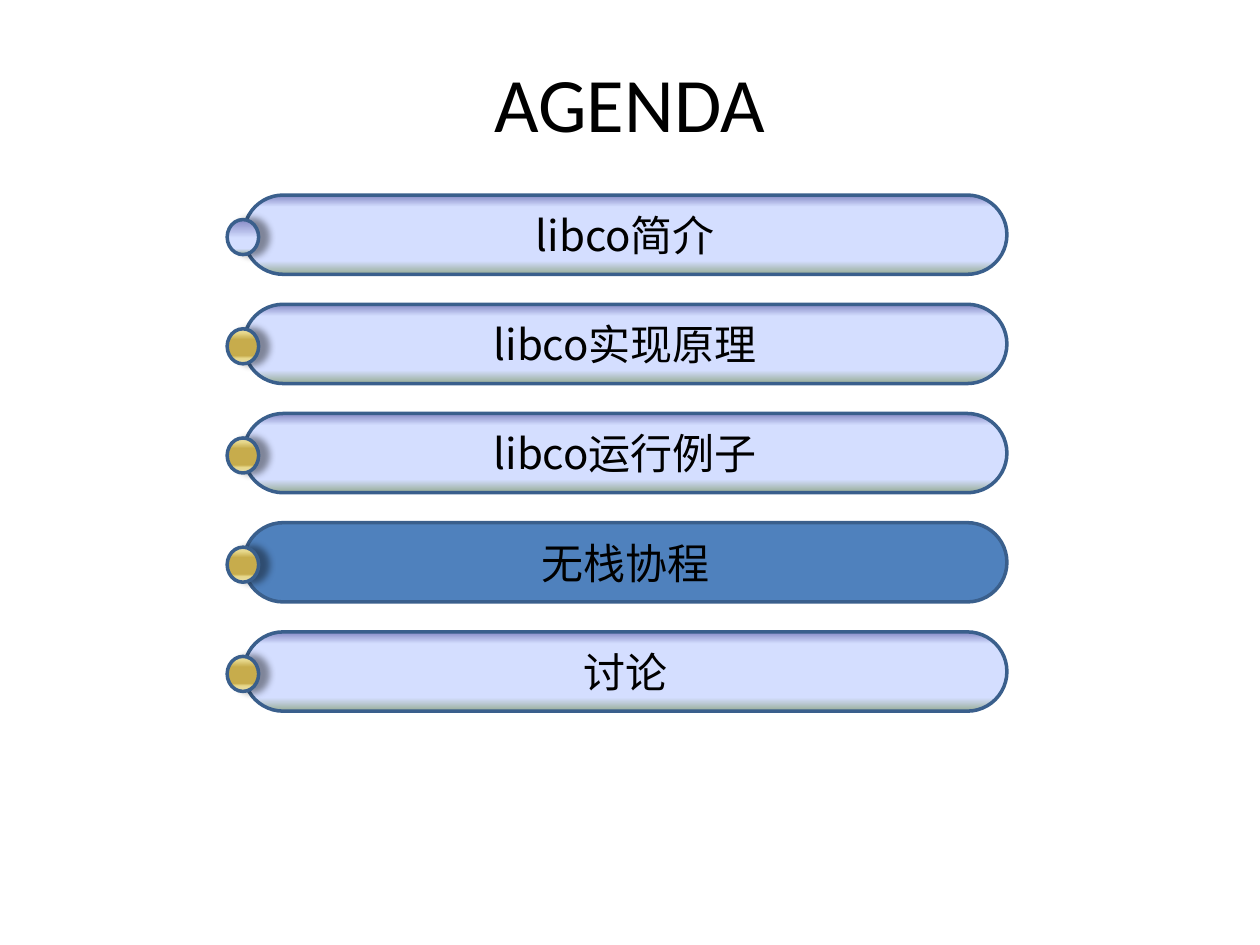
from dataclasses import dataclass

from lxml import etree
from pptx import Presentation
from pptx.dml.color import RGBColor
from pptx.enum.shapes import MSO_SHAPE
from pptx.enum.text import MSO_ANCHOR, PP_ALIGN
from pptx.oxml.ns import qn
from pptx.util import Pt

PILL = MSO_SHAPE.ROUNDED_RECTANGLE
DOT = MSO_SHAPE.FLOWCHART_CONNECTOR
CENTER = PP_ALIGN.CENTER
MIDDLE = MSO_ANCHOR.MIDDLE
TITLE_ONLY = 5


@dataclass(frozen=True)
class Theme:
    text: str = "000000"
    shadow: str = "000000"
    outline: str = "3A5F8C"
    current: str = "4F81BD"
    mist: tuple = ((0, "8488C4"), (15, "D4DEFF"), (83, "D4DEFF"), (100, "96AB94"))
    mist_dot: tuple = ((0, "8488C4"), (53, "D4DEFF"), (83, "D4DEFF"), (100, "96AB94"))
    gold: tuple = ((0, "E6DCAC"), (12, "E6D78A"), (30, "C7AC4C"),
                   (77, "C7AC4C"), (84, "E6D78A"), (100, "E6DCAC"))
    title_font: str = "Calibri"
    item_font: str = "Noto Sans CJK SC"
    title_size: int = 44
    item_size: int = 24
    line_width: int = 2


def add_color(parent, color):
    return etree.SubElement(parent, qn("a:srgbClr"), val=color)


class AgendaPage:
    def __init__(self, deck, theme):
        self.theme = theme
        self.slide = deck.slides.add_slide(deck.slide_layouts[TITLE_ONLY])

    def set_text(self, shape, text, font_name, size):
        frame = shape.text_frame
        frame.word_wrap = True
        frame.vertical_anchor = MIDDLE
        para = frame.paragraphs[0]
        span = para.add_run()
        span.text = text
        para.alignment = CENTER
        para.font.name = font_name
        para.font.size = Pt(size)
        para.font.color.rgb = RGBColor.from_string(self.theme.text)
        # East Asian characters take their own typeface
        etree.SubElement(span._r.get_or_add_rPr(), qn("a:ea"), typeface=font_name)

    def title(self, text, left, top, width, height):
        box = self.slide.shapes.title
        box.left, box.top, box.width, box.height = map(Pt, (left, top, width, height))
        self.set_text(box, text, self.theme.title_font, self.theme.title_size)

    def shape(self, kind, fill, left, top, width, height):
        shape = self.slide.shapes.add_shape(kind, *map(Pt, (left, top, width, height)))
        shape.shadow.inherit = False
        shape.line.color.rgb = RGBColor.from_string(self.theme.outline)
        shape.line.width = Pt(self.theme.line_width)
        if isinstance(fill, str):
            shape.fill.solid()
            shape.fill.fore_color.rgb = RGBColor.from_string(fill)
        else:
            self.gradient(shape, fill)
        return shape

    def gradient(self, shape, stops):
        shape.fill.gradient()
        shape.fill.gradient_angle = 270
        stop_list = shape._element.spPr.find(".//" + qn("a:gsLst"))
        for stop in list(stop_list):
            stop_list.remove(stop)
        for position, color in stops:
            add_color(etree.SubElement(stop_list, qn("a:gs"), pos=str(position * 1000)), color)

    def pill(self, text, fill, left, top, width, height):
        pill = self.shape(PILL, fill, left, top, width, height)
        pill.adjustments[0] = 0.5
        self.set_text(pill, text, self.theme.item_font, self.theme.item_size)

    def dot(self, fill, left, top, width, height):
        dot = self.shape(DOT, fill, left, top, width, height)
        effects = dot._element.spPr.find(qn("a:effectLst"))
        shadow = etree.SubElement(effects, qn("a:outerShdw"), blurRad=str(Pt(4)),
                                  dist=str(Pt(5)), dir="0", algn="l", rotWithShape="0")
        etree.SubElement(add_color(shadow, self.theme.shadow), qn("a:alpha"), val="40000")


# Deck and title
theme = Theme()
deck = Presentation()
deck.slide_width, deck.slide_height = Pt(720), Pt(540)
page = AgendaPage(deck, theme)
page.title("AGENDA", 36, 21.6, 648, 72.7)

# Agenda items: text, pill fill, dot fill
ITEMS = (
    ("libco简介", theme.mist, theme.mist_dot),
    ("libco实现原理", theme.mist, theme.gold),
    ("libco运行例子", theme.mist, theme.gold),
    ("无栈协程", theme.current, theme.gold),
    ("讨论", theme.mist, theme.gold),
)
FIRST_TOP, PITCH = 111.5, 62.4
for index, (text, pill_fill, dot_fill) in enumerate(ITEMS):
    top = FIRST_TOP + index * PITCH
    page.pill(text, pill_fill, 139.2, top, 436.2, 45.3)
    page.dot(dot_fill, 129.8, top + 14, 18, 20)

deck.save("out.pptx")
